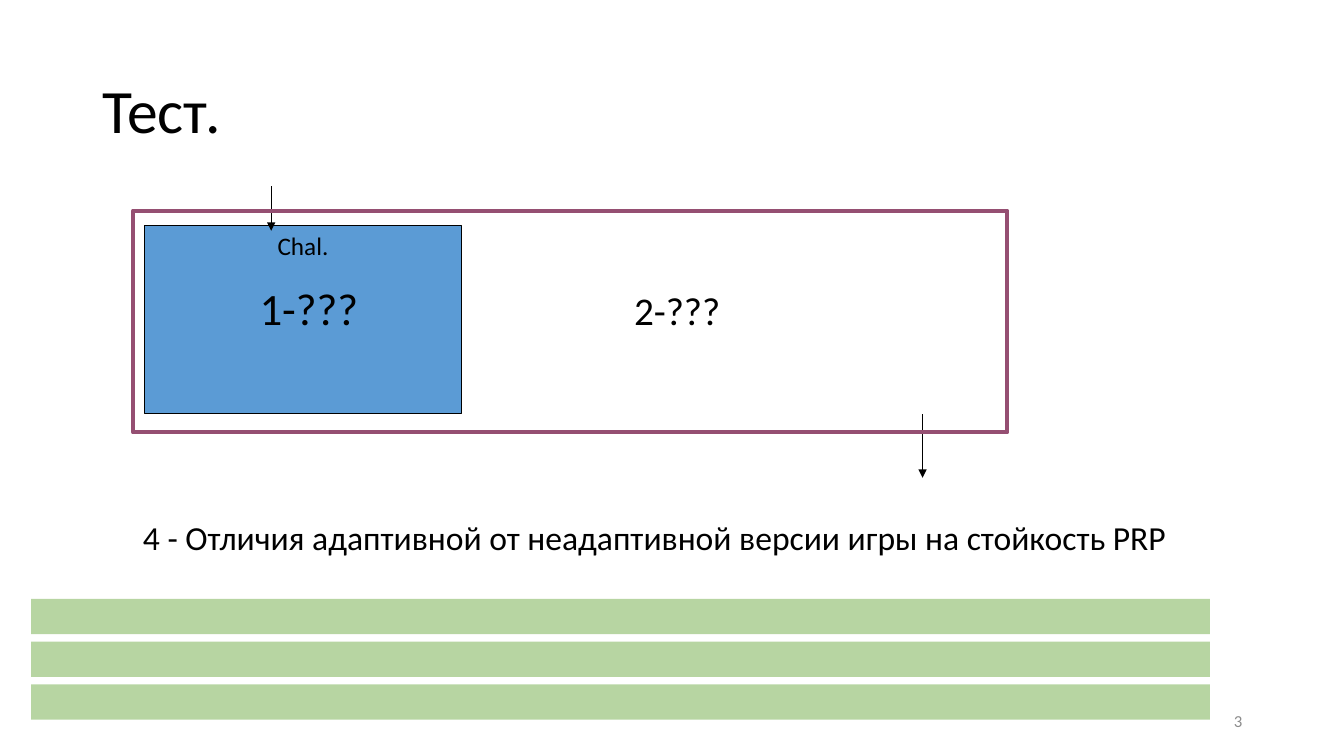
"""Build the quiz slide about the PRP security game."""
from dataclasses import dataclass

from lxml import etree
from pptx import Presentation
from pptx.dml.color import RGBColor
from pptx.enum.shapes import MSO_CONNECTOR, MSO_SHAPE
from pptx.enum.text import MSO_ANCHOR, PP_ALIGN
from pptx.oxml.ns import qn
from pptx.util import Inches, Pt


@dataclass(frozen=True)
class Theme:
    font: str = "Calibri"
    black: RGBColor = RGBColor(0x00, 0x00, 0x00)
    grey: RGBColor = RGBColor(0x8C, 0x8C, 0x8C)
    green: RGBColor = RGBColor(0x70, 0xAD, 0x47)
    blue: RGBColor = RGBColor(0x5B, 0x9B, 0xD5)
    plum: RGBColor = RGBColor(0x95, 0x4F, 0x72)
    title_size: int = 44
    first_size: int = 32
    second_size: int = 28
    question_size: int = 24
    label_size: int = 18
    number_size: int = 12


theme = Theme()


def write_text(shape, text, size, color=theme.black, align=PP_ALIGN.LEFT,
               anchor=MSO_ANCHOR.TOP, wrap=True):
    """Fill a shape with one formatted paragraph."""
    frame = shape.text_frame
    frame.text = text
    frame.word_wrap = wrap
    frame.vertical_anchor = anchor
    paragraph = frame.paragraphs[0]
    paragraph.alignment = align
    paragraph.font.name = theme.font
    paragraph.font.size = Pt(size)
    paragraph.font.color.rgb = color
    return paragraph


def add_rectangle(left, top, width, height, fill=None, line=None, line_width=0.75):
    """Add a flat rectangle with an optional fill and outline."""
    shape = slide.shapes.add_shape(MSO_SHAPE.RECTANGLE, Inches(left), Inches(top),
                                   Inches(width), Inches(height))
    shape.shadow.inherit = False
    if fill is None:
        shape.fill.background()
    else:
        shape.fill.solid()
        shape.fill.fore_color.rgb = fill
    if line is None:
        shape.line.fill.background()
    else:
        shape.line.color.rgb = line
        shape.line.width = Pt(line_width)
    return shape


presentation = Presentation()
presentation.slide_width = Inches(13.33)
presentation.slide_height = Inches(7.5)
slide = presentation.slides.add_slide(presentation.slide_layouts[6])

title = slide.shapes.add_textbox(Inches(0.92), Inches(0.4), Inches(11.5), Inches(1.45))
title_paragraph = write_text(title, "Тест.", theme.title_size, anchor=MSO_ANCHOR.MIDDLE)
title_paragraph.line_spacing = 0.9

number = slide.shapes.add_textbox(Inches(9.42), Inches(6.95), Inches(3), Inches(0.4))
write_text(number, "3", theme.number_size, theme.grey, PP_ALIGN.RIGHT, MSO_ANCHOR.MIDDLE)

for row in range(3):
    bar = add_rectangle(0.31, 5.94 + 0.425 * row, 11.69, 0.35, theme.green)
    bar_color = bar.fill._xPr.find(qn("a:solidFill"))[0]
    etree.SubElement(bar_color, qn("a:alpha")).set("val", "50000")

challenger = add_rectangle(1.43, 2.24, 3.15, 1.86, theme.blue, theme.black)
write_text(challenger, "Chal.", theme.label_size, align=PP_ALIGN.CENTER, wrap=False)

for x, start, end in [(2.69, 1.85, 2.29), (9.15, 4.11, 4.74)]:
    arrow = slide.shapes.add_connector(MSO_CONNECTOR.STRAIGHT, Inches(x), Inches(start),
                                       Inches(x), Inches(end))
    arrow.line.color.rgb = theme.black
    arrow.line.width = Pt(0.75)
    etree.SubElement(arrow.line._get_or_add_ln(), qn("a:tailEnd")).set("type", "triangle")
    etree.SubElement(arrow._element.spPr, qn("a:effectLst"))

add_rectangle(1.32, 2.09, 8.67, 2.2, line=theme.plum, line_width=3)

captions = [
    ("1-???", 1.43, 2.74, 3.27, 1.02, theme.first_size, PP_ALIGN.CENTER, True),
    ("2-???", 6.19, 2.79, 1.07, 0.57, theme.second_size, PP_ALIGN.LEFT, False),
    ("4 - Отличия адаптивной от неадаптивной версии игры на стойкость PRP",
     1.32, 5.08, 10.37, 0.5, theme.question_size, PP_ALIGN.LEFT, False),
]
for text, left, top, width, height, size, align, wrap in captions:
    caption = slide.shapes.add_textbox(Inches(left), Inches(top), Inches(width), Inches(height))
    write_text(caption, text, size, align=align, wrap=wrap)

presentation.save("out.pptx")
